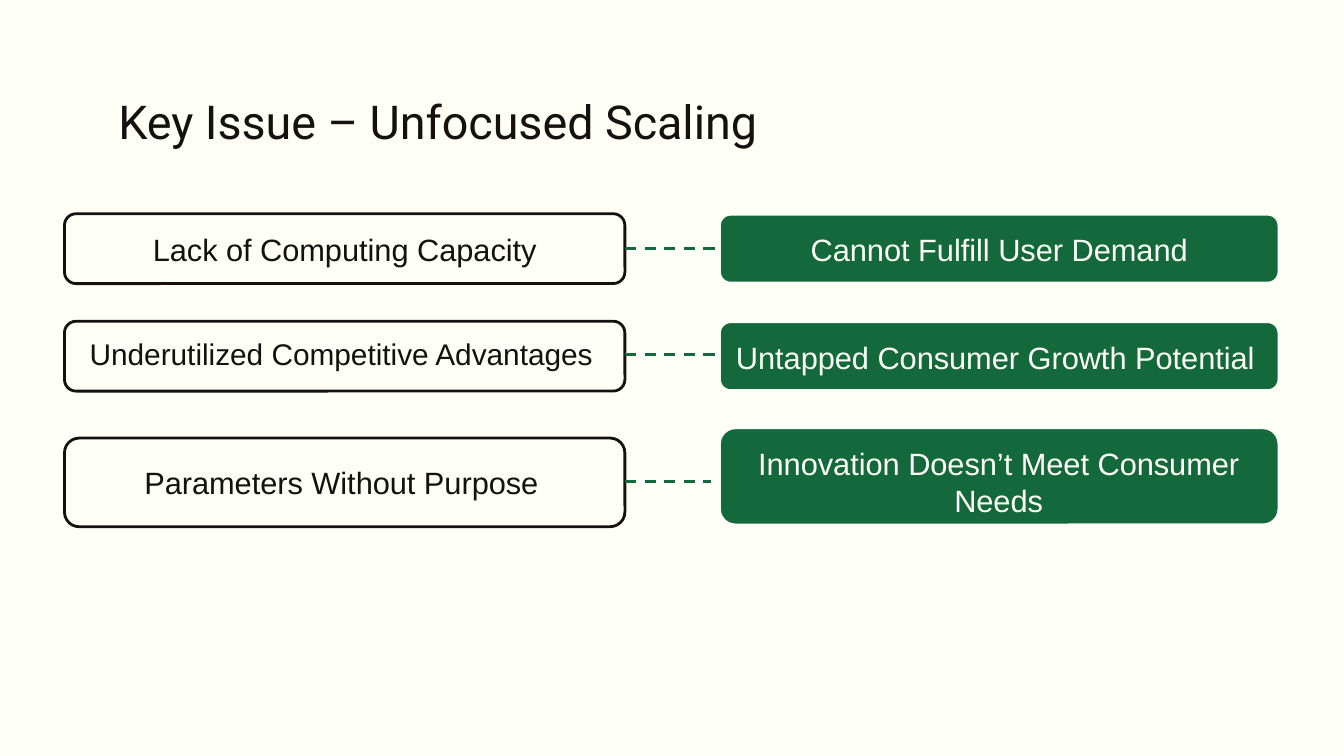
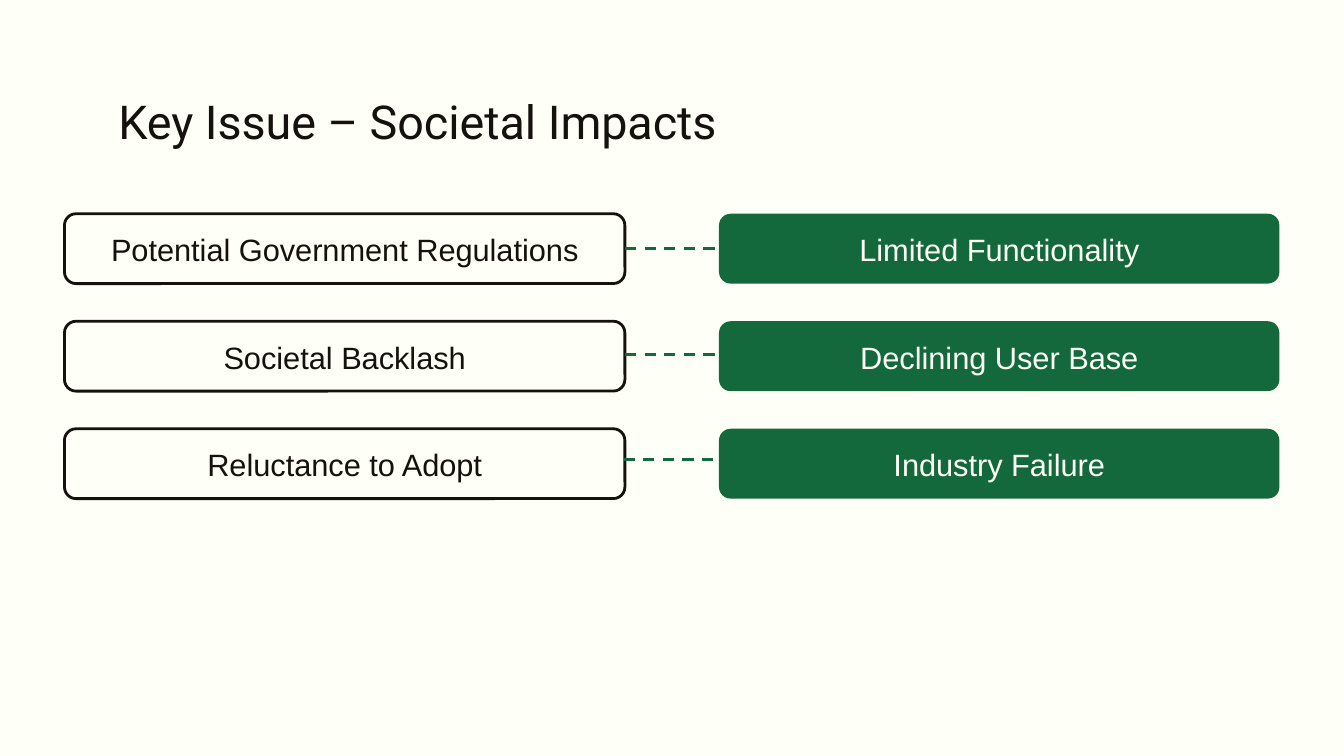
from dataclasses import dataclass

from pptx import Presentation
from pptx import util as u
from pptx.dml.color import RGBColor
from pptx.enum import dml, shapes, text
from pptx.oxml.ns import qn
from lxml import etree

CREAM = RGBColor(0xFE, 0xFF, 0xF6)
INK = RGBColor(0x15, 0x11, 0x0E)
GREEN = RGBColor(0x13, 0x69, 0x3B)

SLIDE_W = 10
SLIDE_H = SLIDE_W * 9 / 16
CAUSE_X, EFFECT_X, PILL_W, PILL_H = 0.48, 5.35, 4.17, 0.52
FIRST_ROW, ROW_STEP = 1.59, 0.8
LINK_Y, LINK_STEP = 1.85, 0.79


@dataclass
class Pill:
    """A rounded box; the label's place is measured from the box's corner."""
    label: str
    size: float = 16.5
    dx: float = 0.17
    dy: float = 0.08
    label_w: float = 3.83
    label_h: float = 0.38
    drop: float = 0
    height: float = PILL_H
    label_fill: RGBColor | None = None


@dataclass
class Link:
    start: float = CAUSE_X + PILL_W
    length: float = 0.7
    drop: float = 0


# pill styles: fill, outline colour, outline width
HOLLOW = (None, INK, 1.5)
PAPER = (CREAM, INK, 1.5)
EDGED = (GREEN, CREAM, 2)
SOLID = (GREEN, None, 0)

SLIDES = [
    ("Key Issue – Unfocused Scaling", HOLLOW, EDGED, [
        (Pill("Lack of Computing Capacity"),
         Pill("Cannot Fulfill User Demand", label_fill=GREEN), Link()),
        (Pill("Underutilized Competitive Advantages", size=16, dx=0.06,
              dy=0.06, label_w=4, label_h=0.37),
         Pill("Untapped Consumer Growth Potential", dx=0, label_w=4.11),
         Link()),
        (Pill("Parameters Without Purpose", dx=0.06, dy=0.14, label_w=4,
              drop=0.07, height=0.66),
         Pill("Innovation Doesn’t Meet Consumer Needs", dx=0.14, label_w=3.88,
              label_h=0.66, drop=-0.01, height=0.73),
         Link(length=0.64, drop=0.15)),
    ]),
    ("Key Issue – Societal Impacts", PAPER, SOLID, [
        (Pill("Potential Government Regulations"),
         Pill("Limited Functionality", label_fill=GREEN), Link()),
        (Pill("Societal Backlash"),
         Pill("Declining User Base", label_fill=GREEN), Link()),
        (Pill("Reluctance to Adopt"),
         Pill("Industry Failure", label_fill=GREEN),
         Link(start=4.64, drop=-0.01)),
    ]),
]


def inches(*lengths):
    return [u.Inches(v) for v in lengths]


def style_text(tf, words, font, size, color, align):
    tf.text = words
    tf.word_wrap = True
    p = tf.paragraphs[0]
    p.alignment = align
    r = p.runs[0]
    r.font.name, r.font.size, r.font.color.rgb = font, u.Pt(size), color


def add_title(s, words):
    sp = s.shapes.title
    sp.left, sp.top, sp.width, sp.height = inches(0.78, 0.59, 8.44, 0.6)
    tf = sp.text_frame
    tf.margin_left = tf.margin_right = u.Inches(0.1)
    tf.margin_top = tf.margin_bottom = u.Inches(0.1)
    style_text(tf, words, "Roboto", 25, INK, text.PP_ALIGN.LEFT)
    tf.auto_size = text.MSO_AUTO_SIZE.NONE
    tf.vertical_anchor = text.MSO_ANCHOR.TOP


def add_pill(s, pill, x, row, style, color):
    fill, edge, width = style
    y = FIRST_ROW + row * ROW_STEP + pill.drop
    sp = s.shapes.add_shape(shapes.MSO_SHAPE.ROUNDED_RECTANGLE,
                            *inches(x, y, PILL_W, pill.height))
    sp.shadow.inherit = False
    if fill is None:
        sp.fill.background()
    else:
        sp.fill.solid()
        sp.fill.fore_color.rgb = fill
    if edge is None:
        sp.line.fill.background()
    else:
        sp.line.color.rgb, sp.line.width = edge, u.Pt(width)

    box = s.shapes.add_textbox(*inches(x + pill.dx, y + pill.dy,
                                       pill.label_w, pill.label_h))
    if pill.label_fill is not None:
        box.fill.solid()
        box.fill.fore_color.rgb = pill.label_fill
    style_text(box.text_frame, pill.label, "Arial", pill.size, color,
               text.PP_ALIGN.CENTER)
    box.text_frame.auto_size = text.MSO_AUTO_SIZE.SHAPE_TO_FIT_TEXT


def add_link(s, link, row):
    y = LINK_Y + row * LINK_STEP + link.drop
    line = s.shapes.add_connector(
        shapes.MSO_CONNECTOR.STRAIGHT,
        *inches(link.start, y, link.start + link.length, y))
    line.line.color.rgb, line.line.width = GREEN, u.Pt(1.5)
    line.line.dash_style = dml.MSO_LINE.DASH
    etree.SubElement(line.element.spPr, qn("a:effectLst"))


def main():
    prs = Presentation()
    prs.slide_width, prs.slide_height = inches(SLIDE_W, SLIDE_H)
    bg = prs.slide_master.background.fill
    bg.solid()
    bg.fore_color.rgb = CREAM
    for title, cause_style, effect_style, rows in SLIDES:
        s = prs.slides.add_slide(prs.slide_layouts[5])
        add_title(s, title)
        for i, (cause, effect, link) in enumerate(rows):
            add_pill(s, cause, CAUSE_X, i, cause_style, INK)
            add_pill(s, effect, EFFECT_X, i, effect_style, CREAM)
            add_link(s, link, i)
    prs.save("out.pptx")


if __name__ == "__main__":
    main()
